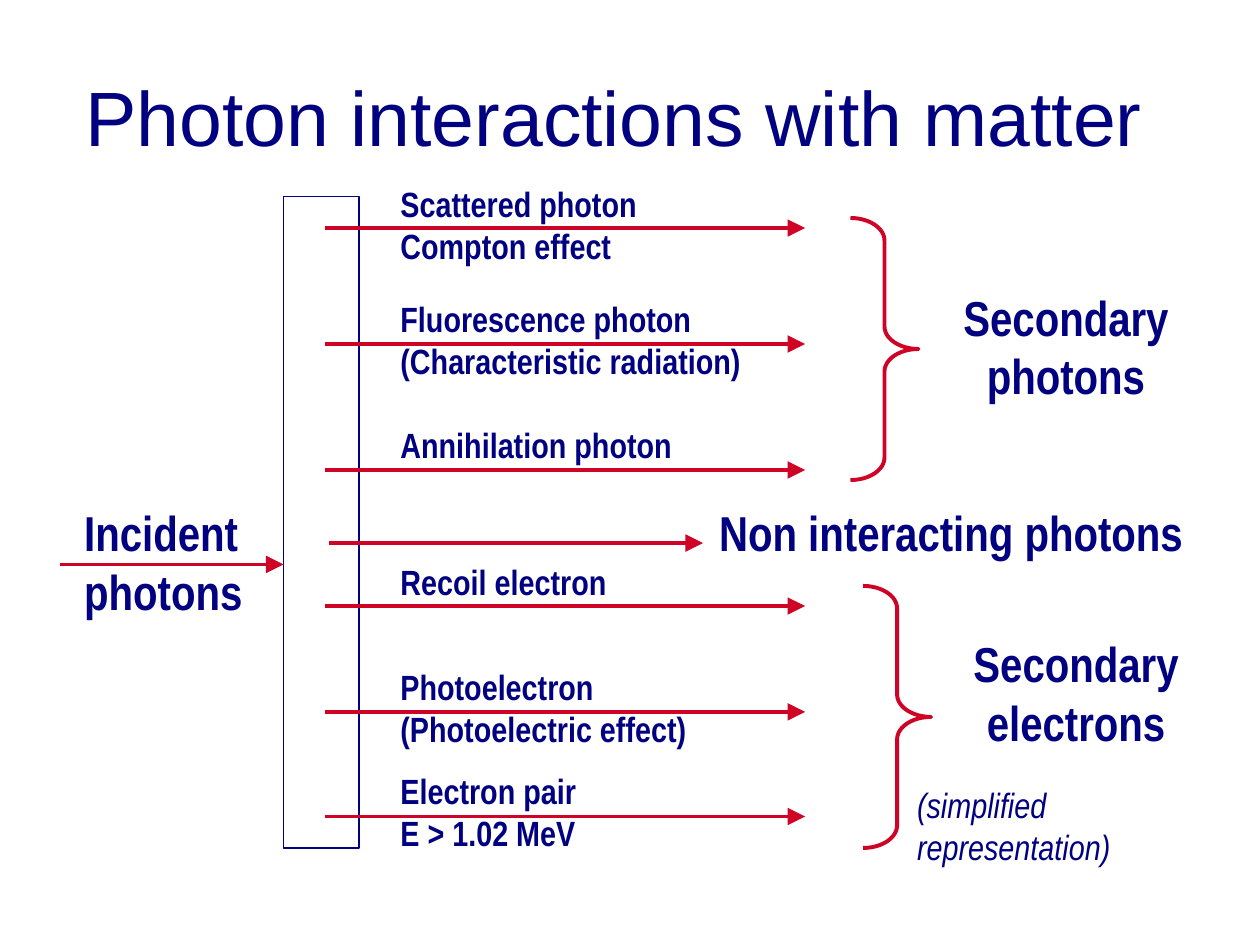
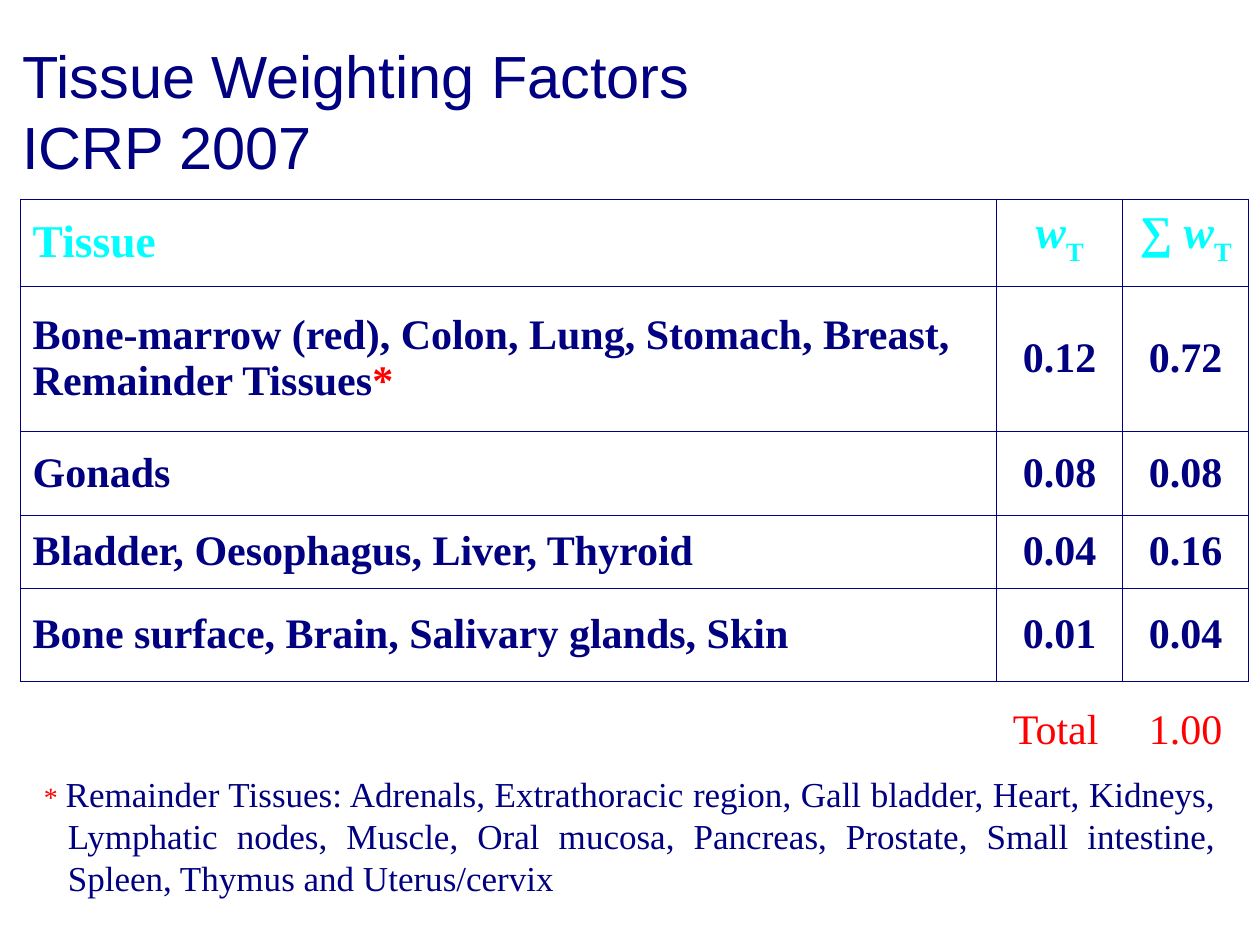
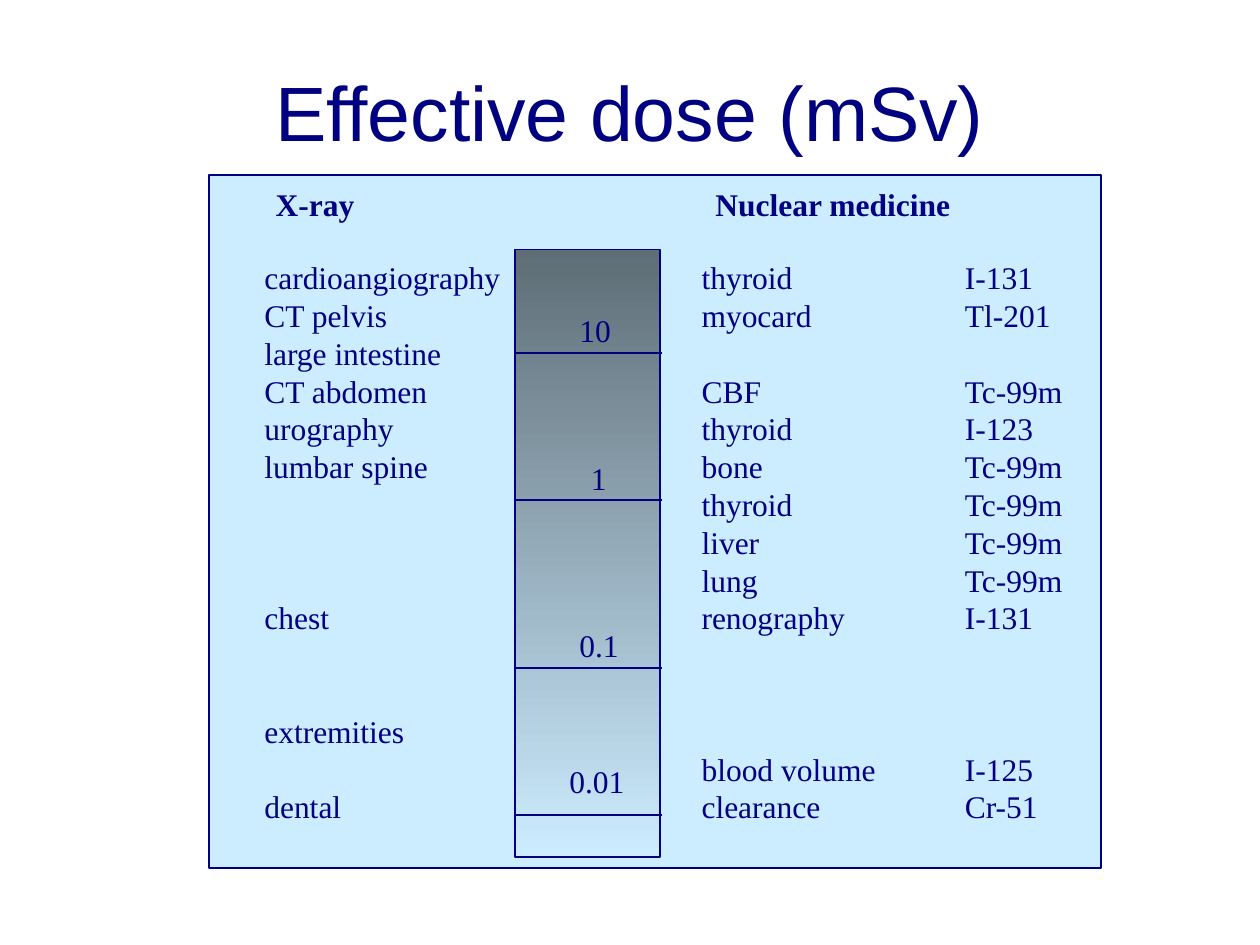
from lxml.etree import SubElement
from pptx import Presentation
from pptx.dml.color import RGBColor
from pptx.enum.shapes import MSO_CONNECTOR as Connector, MSO_SHAPE as Shape
from pptx.enum.text import MSO_ANCHOR as Anchor, PP_ALIGN as Align
from pptx.oxml.ns import qn
from pptx.util import Inches, Pt

NAVY = RGBColor(0x00, 0x00, 0x80)
CRIMSON = RGBColor(0xCF, 0x03, 0x25)
RED = RGBColor(0xFF, 0x00, 0x00)
CYAN = RGBColor(0x00, 0xFF, 0xFF)
PALE_BLUE = RGBColor(0xCC, 0xEC, 0xFF)
SLATE = RGBColor(0x5E, 0x6D, 0x76)
SANS, NARROW, SERIF = "Arial", "Arial Narrow", "Times New Roman"
LINE_HEIGHT = 1.2
TABLE_LINE_HEIGHT = 1.1

ARROWS = [(0.48, 2.25, 4.48), (2.61, 5.58, 4.31)]
ARROWS += [(2.58, 6.39, y) for y in (1.81, 2.73, 3.73, 4.81, 5.65, 6.48)]
BRACES = [(6.75, 1.73), (6.85, 4.65)]
PRODUCT_WIDTH = 3
PRODUCTS = [
    (1.40, 0.77, ["Scattered photon", "Compton effect"]),
    (2.31, 0.77, ["Fluorescence photon", "(Characteristic radiation)"]),
    (3.31, 0.77, ["Annihilation photon"]),
    (4.40, 0.44, ["Recoil electron"]),
    (5.23, 0.77, ["Photoelectron", "(Photoelectric effect)"]),
    (6.06, 0.77, ["Electron pair", "E > 1.02 MeV"]),
]
GROUPS = [
    ((0.57, 3.94, 1.65, 1.04), ["Incident", "photons"], Align.LEFT),
    ((7.46, 2.23, 2.00, 1.04), ["Secondary", "photons"], Align.CENTER),
    ((7.54, 4.98, 2.00, 1.04), ["Secondary", "electrons"], Align.CENTER),
    ((5.61, 3.94, 4.20, 0.57), ["Non interacting photons"], Align.LEFT),
]

SYMBOL = [("w", {"italic": True}), ("T", {"baseline": -30000})]
TISSUES = [
    ["Tissue", SYMBOL, [("∑ ", {})] + SYMBOL],
    [[("Bone-marrow (red), Colon, Lung, Stomach, Breast, Remainder Tissues", {}),
      ("*", {"color": RED})], "0.12", "0.72"],
    ["Gonads", "0.08", "0.08"],
    ["Bladder, Oesophagus, Liver, Thyroid", "0.04", "0.16"],
    ["Bone surface, Brain, Salivary glands, Skin", "0.01", "0.04"],
]
TISSUE_COLUMNS = [7.75, 1, 1]
TISSUE_ROWS = [0.69, 1.15, 0.67, 0.58, 0.74]
FOOTNOTE = [
    ("* ", {"size": 16, "color": RED}),
    ("Remainder Tissues: Adrenals, Extrathoracic region, Gall bladder, Heart, Kidneys, "
     "Lymphatic nodes, Muscle, Oral mucosa, Pancreas, Prostate, Small intestine, "
     "Spleen, Thymus and Uterus/cervix", {}),
]

DOSE_LEVELS = [
    ("10", 2.80, (4.50, 2.42, 0.45, 0.4)),
    ("1", 3.97, (4.59, 3.59, 0.32, 0.4)),
    ("0.1", 5.30, (4.50, 4.92, 0.51, 0.4)),
    ("0.01", 6.47, (4.42, 6.00, 0.64, 0.4)),
]
EXAMINATIONS = [
    ("cardioangiography", "thyroid", "I-131"),
    ("CT pelvis", "myocard", "Tl-201"),
    ("large intestine",),
    ("CT abdomen", "CBF", "Tc-99m"),
    ("urography", "thyroid", "I-123"),
    ("lumbar spine", "bone", "Tc-99m"),
    ("", "thyroid", "Tc-99m"),
    ("", "liver", "Tc-99m"),
    ("", "lung", "Tc-99m"),
    ("chest", "renography", "I-131"),
    ("extremities",),
    ("", "blood volume", "I-125"),
    ("dental", "clearance", "Cr-51"),
]
LINES_SKIPPED_BEFORE = {"extremities": 2}


def format_run(span, size, font, color, bold=False, italic=False, baseline=0):
    span.font.size = Pt(size)
    span.font.name = font
    span.font.color.rgb = color
    span.font.bold = bold
    span.font.italic = italic
    if baseline:
        span.font._element.set("baseline", str(baseline))


def write(frame, paragraphs, align=Align.LEFT, spacing=LINE_HEIGHT, tabs=(), **style):
    for index, content in enumerate(paragraphs):
        para = frame.paragraphs[0] if index == 0 else frame.add_paragraph()
        para.alignment = align
        para.line_spacing = Pt(round(style["size"] * spacing, 1))
        if tabs:
            stops = SubElement(para._p.get_or_add_pPr(), qn("a:tabLst"))
            for position in tabs:
                SubElement(stops, qn("a:tab"), pos=str(Inches(position)), algn="l")
        if isinstance(content, str):
            para.text = content
            for span in para.runs:
                format_run(span, **style)
        else:
            for text, changes in content:
                span = para.add_run()
                span.text = text
                format_run(span, **{**style, **changes})


def add_text(page, place, paragraphs, wrap=True, anchor=Anchor.TOP, **style):
    box = page.shapes.add_textbox(*map(Inches, place))
    box.text_frame.word_wrap = wrap
    box.text_frame.vertical_anchor = anchor
    write(box.text_frame, paragraphs, **{"color": NAVY, **style})
    return box


def add_title(page, place, text, size=44, **style):
    add_text(page, place, [text], anchor=Anchor.MIDDLE, size=size, font=SANS, **style)


def add_outline(page, kind, place, color=NAVY, width=1):
    shape = page.shapes.add_shape(kind, *map(Inches, place))
    shape.shadow.inherit = False
    shape.fill.background()
    shape.line.color.rgb = color
    shape.line.width = Pt(width)
    return shape


def add_level_line(page, left, right, y, color=NAVY, width=1, arrow=False):
    line = page.shapes.add_connector(
        Connector.STRAIGHT, Inches(left), Inches(y), Inches(right), Inches(y))
    line.line.color.rgb = color
    line.line.width = Pt(width)
    if arrow:
        SubElement(line.line._get_or_add_ln(), qn("a:tailEnd"),
                   type="triangle", w="lg", len="lg")
    SubElement(line._element.spPr, qn("a:effectLst"))


def add_borders(cell):
    properties = cell._tc.get_or_add_tcPr()
    for position, side in enumerate(("lnL", "lnR", "lnT", "lnB")):
        edge = SubElement(properties, qn("a:" + side), w=str(Pt(0.45)))
        fill = SubElement(edge, qn("a:solidFill"))
        SubElement(fill, qn("a:srgbClr"), val=str(NAVY))
        properties.insert(position, edge)


def build_interactions(page):
    add_title(page, (0.58, 0.33, 8.67, 1.25), "Photon interactions with matter",
              spacing=1.08)
    add_outline(page, Shape.RECTANGLE, (2.25, 1.56, 0.6, 5.17))
    for left, right, y in ARROWS:
        add_level_line(page, left, right, y, CRIMSON, 2, arrow=True)
    for left, top in BRACES:
        brace = add_outline(page, Shape.RIGHT_BRACE, (left, top, 0.54, 2.08), CRIMSON, 2.25)
        brace.adjustments[0] = 0.33
    for top, height, lines in PRODUCTS:
        add_text(page, (3.08, top, PRODUCT_WIDTH, height), lines,
                 size=20, font=NARROW, bold=True)
    for place, lines, align in GROUPS:
        add_text(page, place, lines, align=align, size=28, font=NARROW, bold=True)
    add_text(page, (7.18, 6.17, 2.61, 0.77), ["(simplified representation)"],
             size=20, font=NARROW, italic=True)


def build_tissues(page):
    add_title(page, (0.08, 0.25, 9.83, 1.25), "Tissue Weighting Factors\vICRP 2007", 34)
    note = add_text(page, (0.25, 6.08, 9.5, 1.1), [FOOTNOTE], align=Align.JUSTIFY,
                    size=20, font=SERIF)
    indents = note.text_frame.paragraphs[0]._p.get_or_add_pPr()
    indents.set("marL", str(Inches(0.19)))
    indents.set("indent", str(-Inches(0.19)))

    place = (0.16, 1.58, sum(TISSUE_COLUMNS), sum(TISSUE_ROWS))
    table = page.shapes.add_table(
        len(TISSUE_ROWS), len(TISSUE_COLUMNS), *map(Inches, place)).table
    table.first_row = table.horz_banding = False
    for column, width in zip(table.columns, TISSUE_COLUMNS):
        column.width = Inches(width)
    for row, height in zip(table.rows, TISSUE_ROWS):
        row.height = Inches(height)
    for r, values in enumerate(TISSUES):
        size, color = (24, NAVY) if r else (26, CYAN)
        for c, content in enumerate(values):
            cell = table.cell(r, c)
            cell.vertical_anchor = Anchor.MIDDLE
            cell.fill.background()
            add_borders(cell)
            write(cell.text_frame, [content], align=Align.CENTER if c else Align.LEFT,
                  spacing=TABLE_LINE_HEIGHT, size=size, font=SERIF, color=color, bold=True)
    add_text(page, (7.94, 5.53, 2.04, 0.5), ["Total\t1.00"], tabs=[1.08],
             size=24, font=SERIF, color=RED)


def build_doses(page):
    panel = add_outline(page, Shape.RECTANGLE, (1.66, 1.39, 7.08, 5.5))
    panel.fill.solid()
    panel.fill.fore_color.rgb = PALE_BLUE
    add_title(page, (0.75, 0.25, 8.5, 1.25), "Effective dose (mSv)", align=Align.CENTER)

    scale = add_outline(page, Shape.RECTANGLE, (4.09, 1.98, 1.15, 4.82))
    scale.fill.gradient()
    scale.fill.gradient_angle = 270
    for stop, color in zip(scale.fill.gradient_stops, (SLATE, PALE_BLUE)):
        stop.color.rgb = color

    size = 18
    for label, y, place in DOSE_LEVELS:
        add_level_line(page, 4.08, 5.25, y)
        add_text(page, place, [label], wrap=False, size=size, font=SERIF)
    rows = ["\t".join(row) for row in EXAMINATIONS]
    listing = add_text(page, (2, 2, 6.54, 4.6), rows, wrap=False, tabs=[3.47, 5.56],
                       size=size, font=SERIF)
    for para in listing.text_frame.paragraphs:
        skipped = LINES_SKIPPED_BEFORE.get(para.text, 0)
        if skipped:
            para.space_before = Pt(skipped * size * LINE_HEIGHT)
    add_text(page, (2.09, 1.42, 5.56, 0.4), ["X-ray\tNuclear medicine"], wrap=False,
             tabs=[3.49], size=size, font=SERIF, bold=True)


def main():
    deck = Presentation()
    deck.slide_width, deck.slide_height = Inches(10), Inches(7.5)
    for build in (build_interactions, build_tissues, build_doses):
        build(deck.slides.add_slide(deck.slide_layouts[6]))
    deck.save("out.pptx")


if __name__ == "__main__":
    main()
